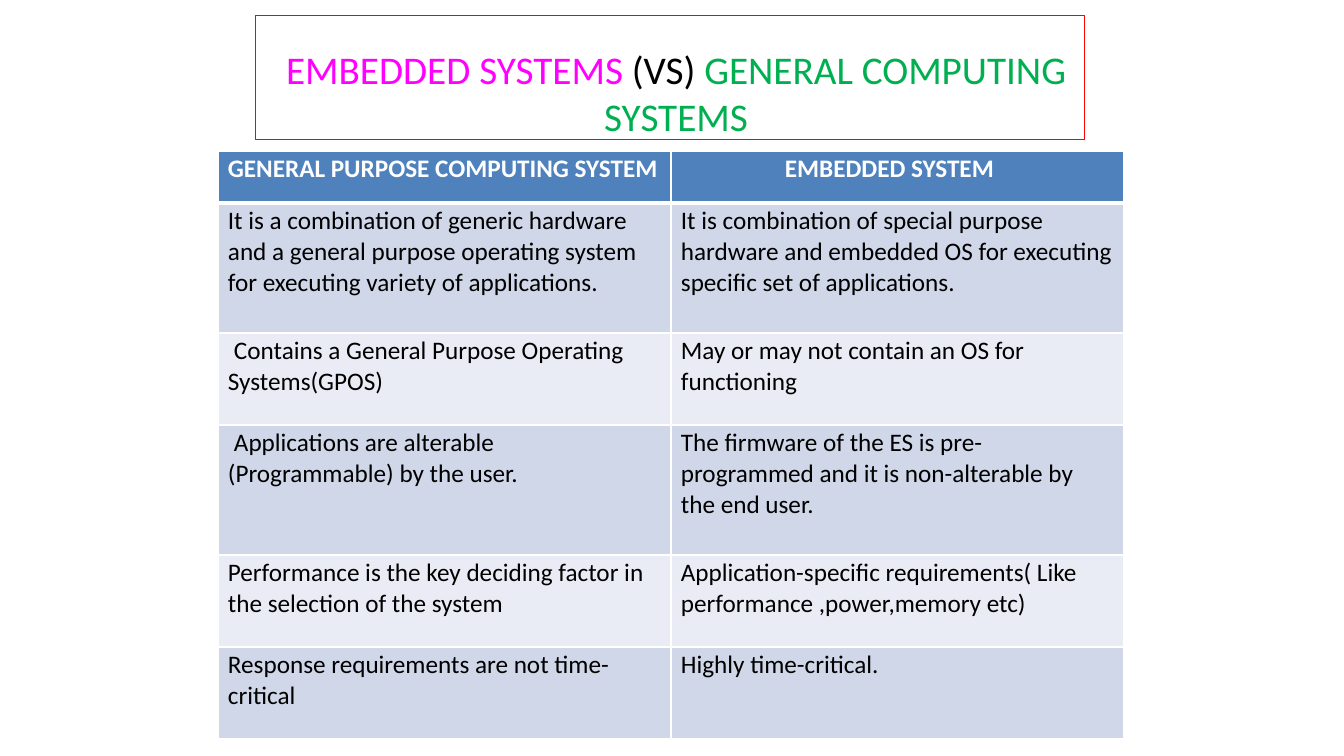
from lxml.etree import SubElement
from pptx import Presentation
from pptx.dml.color import RGBColor
from pptx.enum.text import MSO_ANCHOR as Anchor, PP_ALIGN as Align
from pptx.oxml.ns import qn
from pptx.util import Emu, Pt

# Content
TITLE = [
    ("EMBEDDED SYSTEMS ", "FF00FF"),
    ("(VS) ", "000000"),
    ("GENERAL COMPUTING SYSTEMS", "00AF50"),
]
# Each cell: paragraphs, left margin, right margin, first-line indent
ROWS = [
    (52, [(["GENERAL PURPOSE COMPUTING SYSTEM"], 10, 0, 0),
          (["EMBEDDED SYSTEM"], 114, 0, 0)]),
    (130, [(["It is a combination of generic hardware and a general purpose "
             "operating system for executing variety of applications."], 10, 16, 0),
           (["It is combination of special purpose hardware and embedded OS "
             "for executing specific set of applications."], 10, 8, 0)]),
    (92, [(["Contains a General Purpose Operating", "Systems(GPOS)"], 10, 0, 6),
          (["May or may not contain an OS for", "functioning"], 10, 0, 0)]),
    (130, [(["Applications are alterable (Programmable) by the user."], 10, 40, 6),
           (["The firmware of the ES is pre- programmed and it is "
             "non-alterable by the end user."], 10, 40, 0)]),
    (92, [(["Performance is the key deciding factor in the selection "
            "of the system"], 10, 10, 0),
          (["Application-specific requirements( Like performance "
            ",power,memory etc)"], 10, 10, 0)]),
    (92, [(["Response requirements are not time- critical"], 10, 10, 0),
          (["Highly time-critical."], 10, 10, 0)]),
]
TITLE_BOX = (255, 15, 830, 125)
TABLE_LEFT, TABLE_TOP, COL_WIDTH = 218, 151, 453
HEADER_FILL, BAND_FILLS = "4F81BC", ("E9ECF4", "D0D7E8")
FONT = "Calibri"


def px(n):
    return Emu(round(n * 914400 / 100.8))


def rgb(value):
    return RGBColor.from_string(value)


def set_all(obj, **values):
    for name, value in values.items():
        setattr(obj, name, value)


def add_run(p, text, color, size, bold=False):
    r = p.add_run()
    r.text = text
    set_all(r.font, name=FONT, size=Pt(size), bold=bold)
    r.font.color.rgb = rgb(color)


def set_borders(cell, **widths):
    tcPr = cell._tc.get_or_add_tcPr()
    for side, width in widths.items():
        ln = SubElement(tcPr, qn(f"a:ln{side}"), w=str(Pt(width)))
        SubElement(SubElement(ln, qn("a:solidFill")), qn("a:srgbClr"), val="FFFFFF")


prs = Presentation()
set_all(prs, slide_width=px(1344), slide_height=px(756))
slide = prs.slides.add_slide(prs.slide_layouts[5])

# Title
title = slide.shapes.title
set_all(title, **dict(zip(("left", "top", "width", "height"), map(px, TITLE_BOX))))
title.line.color.rgb = rgb("FF0000")
title.line.width = Pt(0.72)
tf = title.text_frame
set_all(tf, margin_left=px(12), margin_top=px(30), margin_right=0, margin_bottom=0,
        word_wrap=True, vertical_anchor=Anchor.MIDDLE)
p = tf.paragraphs[0]
p.alignment = Align.CENTER
for text, color in TITLE:
    add_run(p, text, color, 28)

# Comparison table
total = sum(height for height, _ in ROWS)
table = slide.shapes.add_table(len(ROWS), 2, px(TABLE_LEFT), px(TABLE_TOP),
                               px(2 * COL_WIDTH), px(total)).table
for column in table.columns:
    column.width = px(COL_WIDTH)

for i, (height, cells) in enumerate(ROWS):
    table.rows[i].height = px(height)
    header = i == 0
    for j, (paragraphs, left, right, indent) in enumerate(cells):
        cell = table.cell(i, j)
        set_all(cell, margin_left=px(left), margin_right=px(right),
                margin_top=px(3), margin_bottom=0, vertical_anchor=Anchor.TOP)
        set_borders(cell, L=1, R=1, T=3 if i == 1 else 1, B=3 if header else 1)
        cell.fill.solid()
        cell.fill.fore_color.rgb = rgb(HEADER_FILL if header else BAND_FILLS[i % 2])
        for k, text in enumerate(paragraphs):
            p = cell.text_frame.add_paragraph() if k else cell.text_frame.paragraphs[0]
            if indent and k == 0:
                p._p.get_or_add_pPr().set("indent", str(px(indent)))
            add_run(p, text, "FFFFFF" if header else "000000", 18, header)

prs.save("out.pptx")
